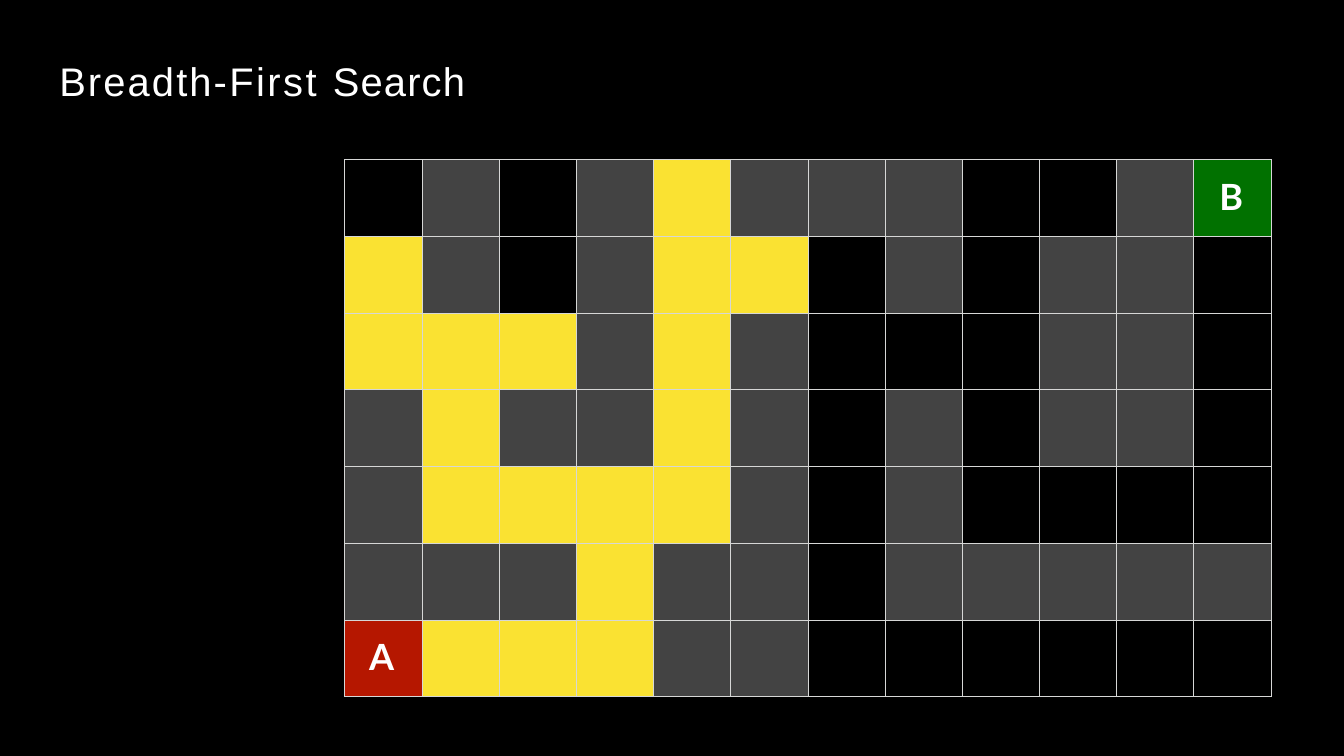
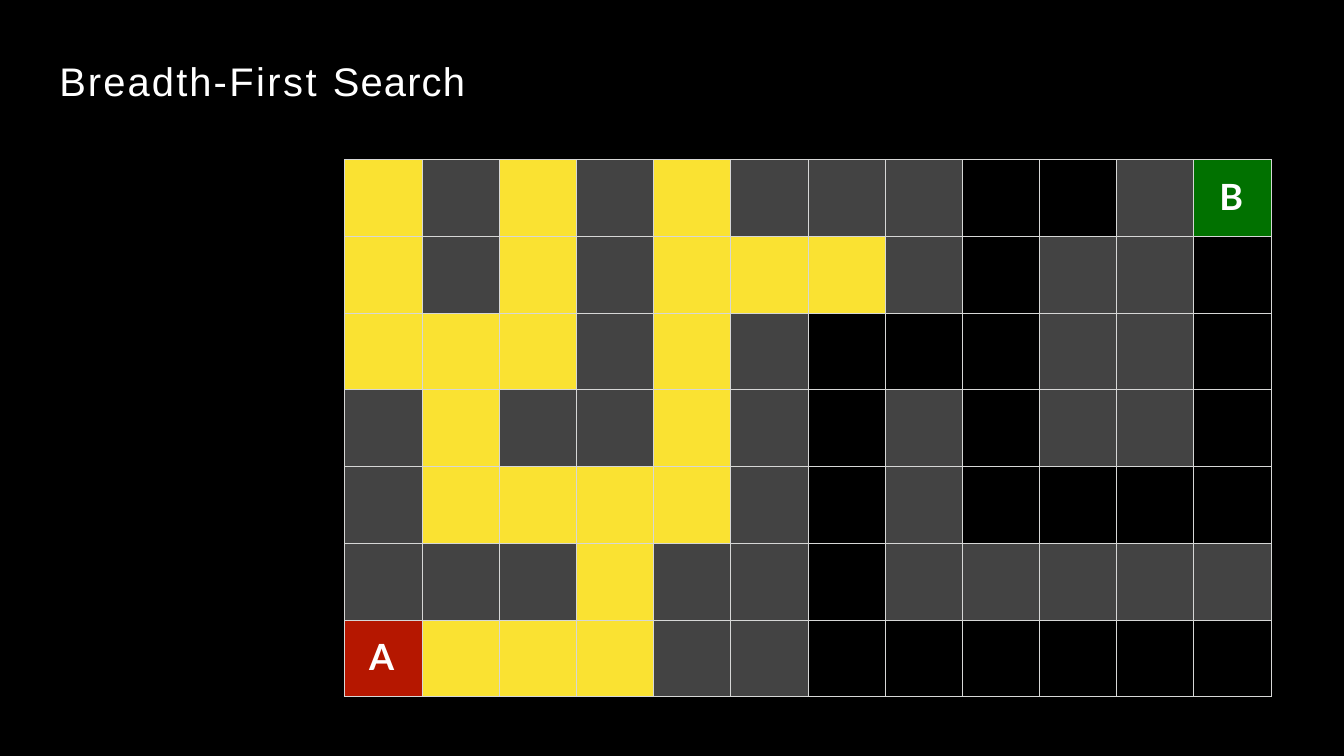
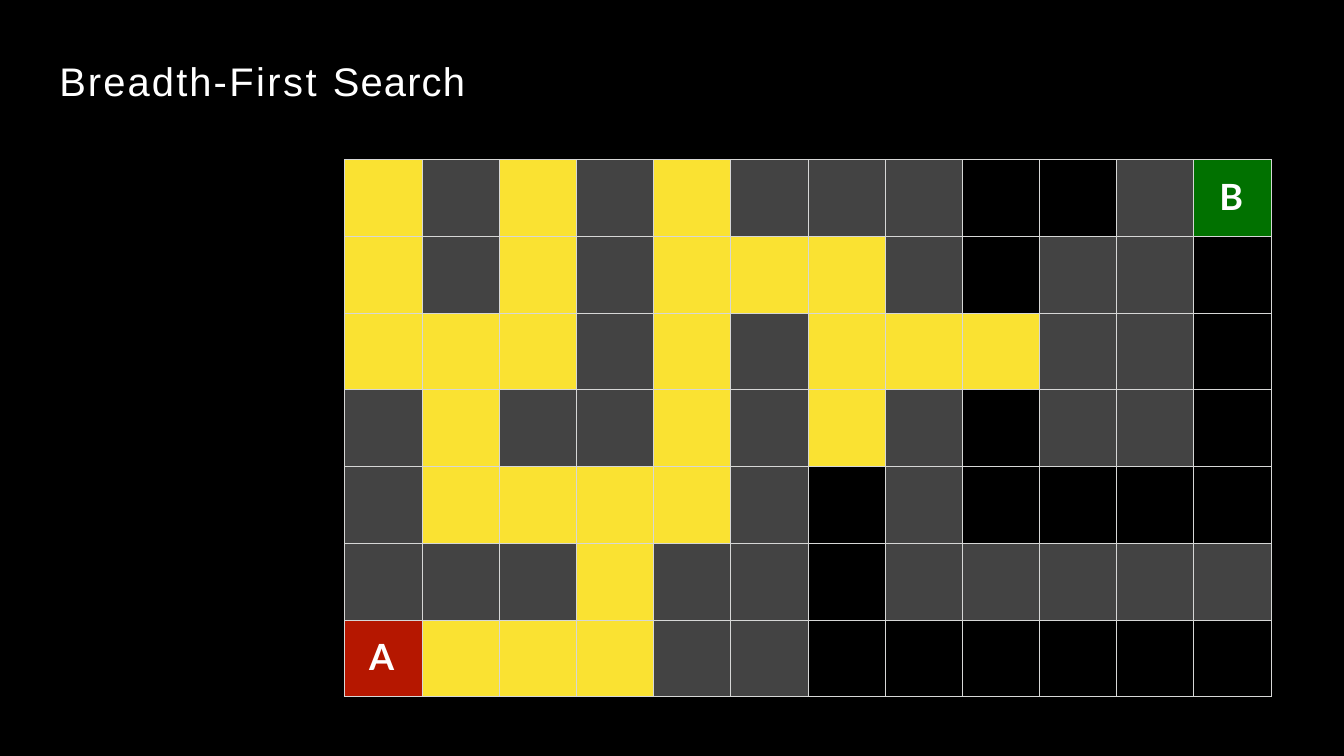
import collections
import dataclasses

import pptx
import pptx.util
import pptx.dml.color
import pptx.enum.text
import pptx.oxml
import pptx.oxml.ns

Inches = pptx.util.Inches
Pt = pptx.util.Pt


@dataclasses.dataclass(frozen=True)
class Theme:
    back: str = "000000"
    text: str = "FFFFFF"
    wall: str = "434343"
    seen: str = "FAE232"
    start: str = "B51700"
    goal: str = "017100"
    line: str = "D6D7D6"
    head_font: str = "Arial"
    mark_font: str = "Lato"
    head_size: float = 47
    mark_size: float = 42.5


THEME = Theme()

# Walls are "#", open cells ".", start "A", goal "B"
MAZE = [
    ".#.#.###..#B",
    ".#.#...#.##.",
    "...#.#...##.",
    "#.##.#.#.##.",
    "#....#.#....",
    "###.##.#####",
    "A...##......",
]
FILLS = {"#": THEME.wall, ".": THEME.back, "A": THEME.start, "B": THEME.goal}
START = (6, 0)
MOVES = [(0, -1), (-1, 0), (0, 1), (1, 0)]  # left, up, right, down

# Left inset, top inset and letter spacing of each marked cell
MARKS = {"A": (0.4, 0.25, 4.2), "B": (0.42, 0.26, 1.2)}

TITLE = [("Breadth-", 2.5), ("First ", 2.9), ("Search", 1.4)]
COUNTS = [18, 22, 26]  # cells explored on each slide


def color(code):
    return pptx.dml.color.RGBColor.from_string(code)


def style(run, font, size, gap, bold=False):
    run.font.name = font
    run.font.size = Pt(size)
    run.font.bold = bold
    run.font.color.rgb = color(THEME.text)
    run._r.get_or_add_rPr().set("spc", str(round(gap * 100)))


def search():
    """List the open cells in breadth-first order from the start."""
    order, queue = [START], collections.deque([START])
    while queue:
        row, col = queue.popleft()
        for down, right in MOVES:
            spot = (row + down, col + right)
            inside = 0 <= spot[0] < len(MAZE) and 0 <= spot[1] < len(MAZE[0])
            if inside and spot not in order and MAZE[spot[0]][spot[1]] != "#":
                order.append(spot)
                queue.append(spot)
    return order[1:]


def set_base(deck):
    """Set the shared background and title place; return the layout."""
    fill = deck.slide_master.background.fill
    fill.solid()
    fill.fore_color.rgb = color(THEME.back)
    layout = deck.slide_layouts[5]
    title = layout.placeholders[0]
    title.left, title.top = Inches(0.68), Inches(0.43)
    title.width, title.height = Inches(12.93), Inches(1.78)
    return layout


def add_title(slide):
    frame = slide.shapes.title.text_frame
    frame.word_wrap = True
    frame.auto_size = pptx.enum.text.MSO_AUTO_SIZE.NONE
    frame.vertical_anchor = pptx.enum.text.MSO_ANCHOR.TOP
    frame.margin_left, frame.margin_top = Inches(0.29), Inches(0.49)
    frame.margin_right = frame.margin_bottom = 0
    para = frame.paragraphs[0]
    para.alignment = pptx.enum.text.PP_ALIGN.LEFT
    for text, gap in TITLE:
        run = para.add_run()
        run.text = text
        style(run, THEME.head_font, THEME.head_size, gap)


def add_edges(cell):
    space = pptx.oxml.ns.nsdecls("a")
    for side in "LRTB":
        cell._tc.get_or_add_tcPr().append(pptx.oxml.parse_xml(
            f'<a:ln{side} {space} w="{Pt(1)}"><a:solidFill>'
            f'<a:srgbClr val="{THEME.line}"/></a:solidFill></a:ln{side}>'))


def add_mark(cell, mark):
    left, top, gap = MARKS[mark]
    cell.margin_left, cell.margin_top = Inches(left), Inches(top)
    cell.margin_right = cell.margin_bottom = 0
    cell.text_frame.text = mark
    run = cell.text_frame.paragraphs[0].runs[0]
    style(run, THEME.mark_font, THEME.mark_size, gap, bold=True)


def add_maze(slide, seen):
    rows, cols = len(MAZE), len(MAZE[0])
    table = slide.shapes.add_table(
        rows, cols, Inches(5.64), Inches(2.61),
        Inches(15.16), Inches(8.79)).table
    table.first_row = table.horz_banding = False
    for row, signs in enumerate(MAZE):
        for col, sign in enumerate(signs):
            cell = table.cell(row, col)
            add_edges(cell)
            code = THEME.seen if (row, col) in seen else FILLS[sign]
            cell.fill.solid()
            cell.fill.fore_color.rgb = color(code)
            if sign in MARKS:
                add_mark(cell, sign)


def main():
    deck = pptx.Presentation()
    deck.slide_width, deck.slide_height = Inches(21.99), Inches(12.37)
    layout = set_base(deck)
    order = search()
    for count in COUNTS:
        slide = deck.slides.add_slide(layout)
        add_title(slide)
        add_maze(slide, order[:count])
    deck.save("out.pptx")


if __name__ == "__main__":
    main()
